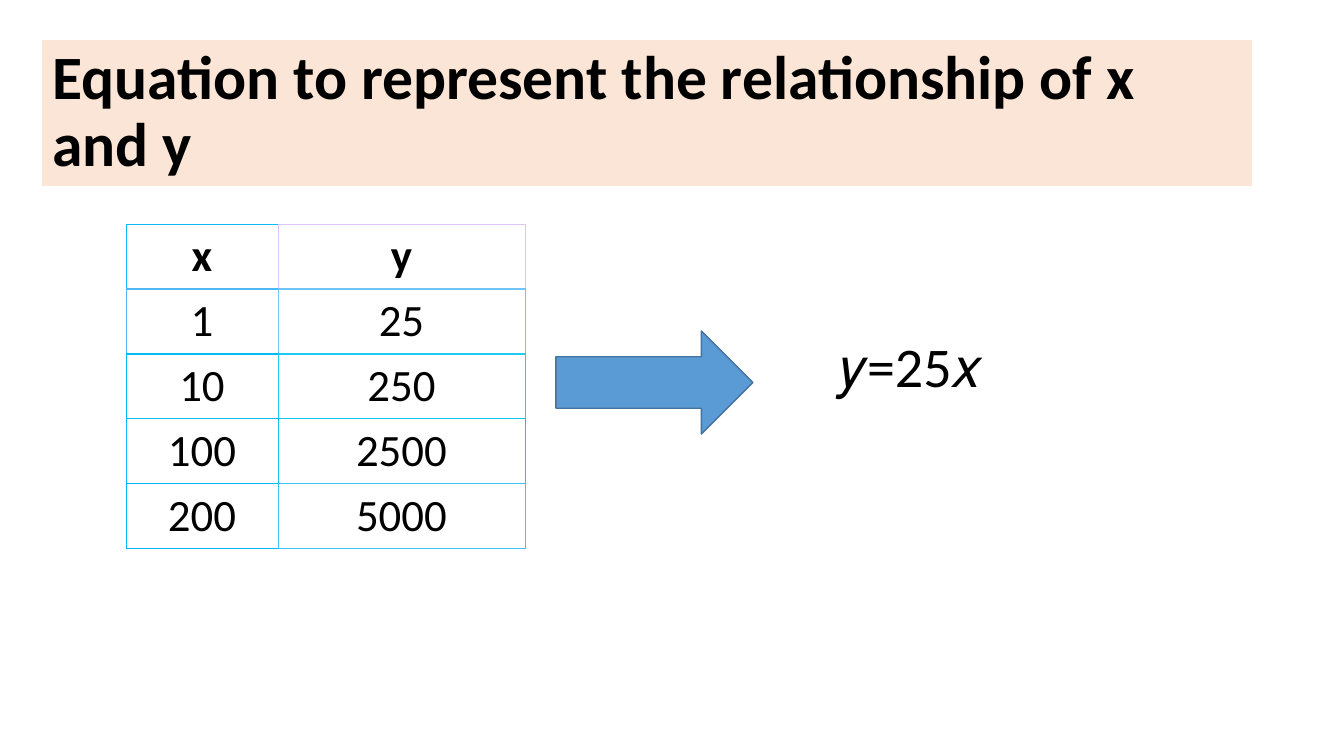
"""Build a slide that derives an equation from a table of x and y values."""
from lxml import etree
from pptx import Presentation
from pptx import util as u
from pptx.dml.color import RGBColor
from pptx.enum import shapes, text
from pptx.oxml.ns import qn

SCALE = 914400 / 100.8


def px(*lengths):
    return [u.Emu(round(n * SCALE)) for n in lengths]


def paint(target, color):
    if hasattr(target, "solid"):
        target.solid()
        target = target.fore_color
    target.rgb = RGBColor.from_string(color)


prs = Presentation()
prs.slide_width, prs.slide_height = px(1344, 756)
s = prs.slides.add_slide(prs.slide_layouts[5])

title = s.shapes.title
title.left, title.top, title.width, title.height = px(42, 40, 1210, 146)
paint(title.fill, "FBE5D6")

equation = s.shapes.add_textbox(*px(831, 334, 293, 96))

rows = [("x", "y"), ("1", "25"), ("10", "250"), ("100", "2500"), ("200", "5000")]
edges = [("10B8F7", "E0C6F7"), ("50B7F7", "70C4F7"), ("00B9F7", "20C9F7"),
         ("10B8F7", "10C4F7"), ("00B9F7", "40C4F7")]
last = len(rows) - 1
table = s.shapes.add_table(len(rows), 2, *px(126, 224, 399, 325)).table
for column, width in zip(table.columns, px(152, 247)):
    column.width = width

items = [
    (title.text_frame, "Equation to represent the relationship of x and y", 44, True,
     text.PP_ALIGN.LEFT, 0.9),
    (equation.text_frame, "𝑦=25𝑥", 40, False, text.PP_ALIGN.LEFT, 0.9),
]
for i, row in enumerate(rows):
    table.rows[i].height = px(65)[0]
    for j, value in enumerate(row):
        cell = table.cell(i, j)
        paint(cell.fill, "FFFFFF")
        cell.vertical_anchor = text.MSO_ANCHOR.MIDDLE if i else text.MSO_ANCHOR.BOTTOM
        own = edges[i][j]
        borders = [
            ("a:lnL", own, 0.6),
            ("a:lnR", edges[i][1], 0.6),
            ("a:lnT", own, 1 if i else 0.6),
            ("a:lnB", edges[min(i + 1, last)][j], 1 if i < last else 0.6),
        ]
        tcPr = cell._tc.get_or_add_tcPr()
        for k, (tag, color, width) in enumerate(borders):
            ln = etree.Element(qn(tag), w=str(u.Pt(width)))
            fill = etree.SubElement(ln, qn("a:solidFill"))
            etree.SubElement(fill, qn("a:srgbClr"), val=color)
            tcPr.insert(k, ln)
        items.append((cell.text_frame, value, 32, i == 0, text.PP_ALIGN.CENTER, 1.0))

for tf, words, size, bold, align, spacing in items:
    p = tf.paragraphs[0]
    p.alignment = align
    p.line_spacing = spacing
    r = p.add_run()
    r.text = words
    r.font.name = "Calibri"
    r.font.size = u.Pt(size)
    r.font.bold = bold
    paint(r.font.color, "000000")

title.text_frame.word_wrap = equation.text_frame.word_wrap = True
title.text_frame.vertical_anchor = text.MSO_ANCHOR.MIDDLE

arrow = s.shapes.add_shape(shapes.MSO_SHAPE.RIGHT_ARROW, *px(556, 331, 197, 103))
arrow.shadow.inherit = False
paint(arrow.fill, "5B9BD5")
paint(arrow.line.fill, "43739E")
arrow.line.width = u.Pt(1)

prs.save("out.pptx")
